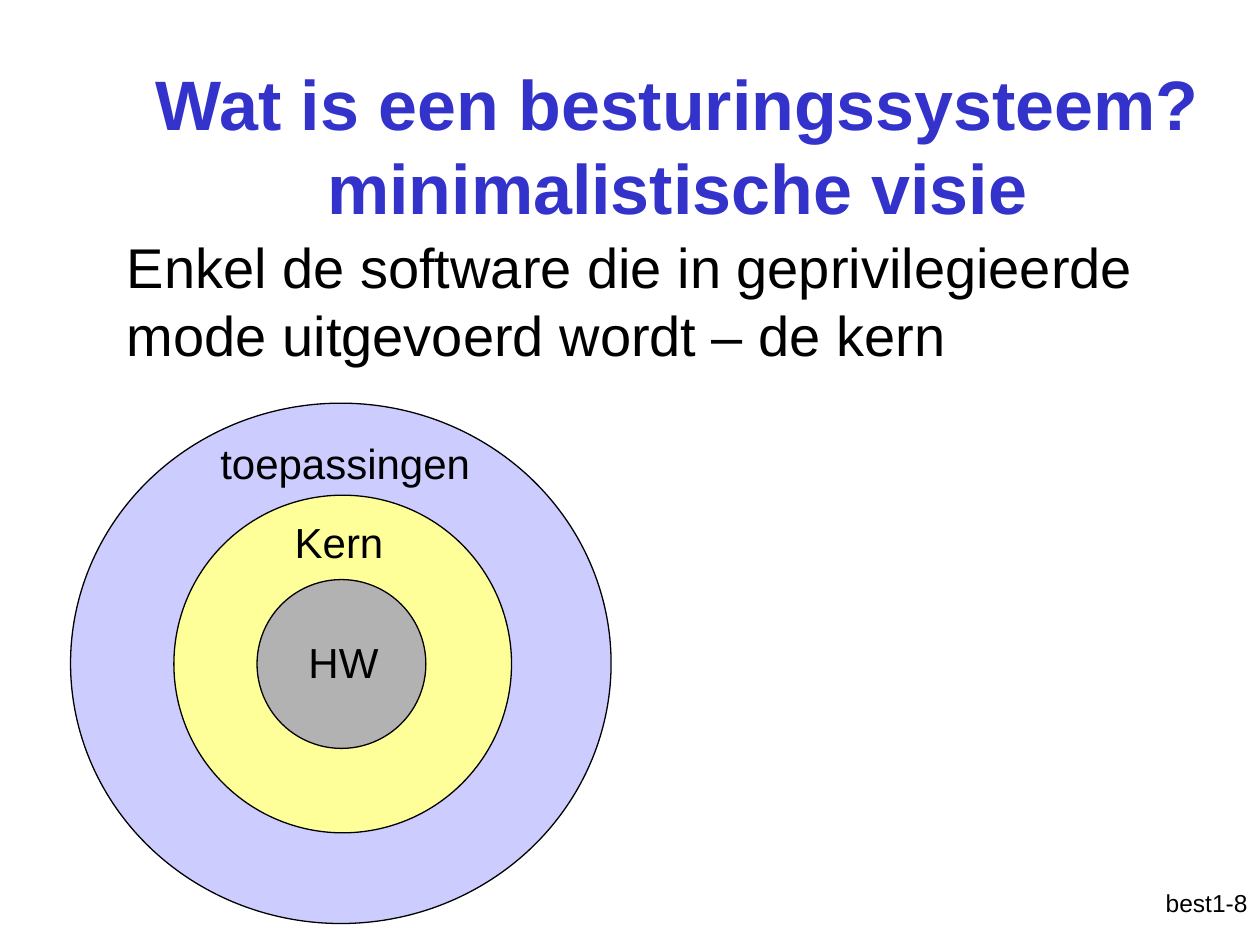
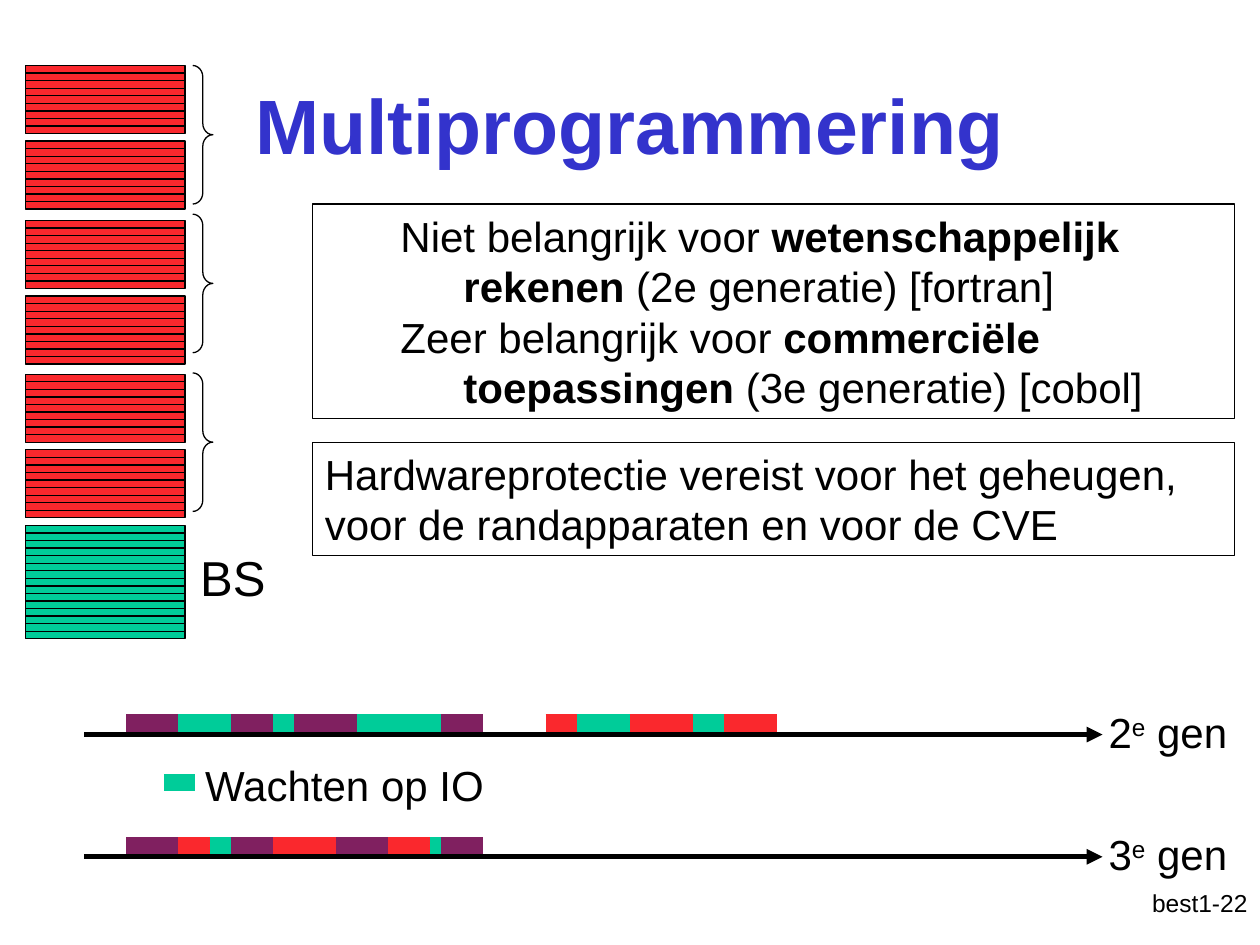
from lxml import etree
from pptx import Presentation
from pptx.dml.color import RGBColor
from pptx.enum.shapes import MSO_CONNECTOR, MSO_SHAPE
from pptx.enum.text import MSO_ANCHOR, PP_ALIGN
from pptx.oxml.ns import qn
from pptx.util import Inches, Pt

STRAIGHT = MSO_CONNECTOR.STRAIGHT
OVAL, RECTANGLE, RIGHT_BRACE = MSO_SHAPE.OVAL, MSO_SHAPE.RECTANGLE, MSO_SHAPE.RIGHT_BRACE
TOP, MIDDLE = MSO_ANCHOR.TOP, MSO_ANCHOR.MIDDLE
LEFT, CENTER, RIGHT = PP_ALIGN.LEFT, PP_ALIGN.CENTER, PP_ALIGN.RIGHT

BLACK = RGBColor(0x00, 0x00, 0x00)
WHITE = RGBColor(0xFF, 0xFF, 0xFF)
TITLE_BLUE = RGBColor(0x33, 0x33, 0xCC)
LAVENDER = RGBColor(0xCC, 0xCC, 0xFF)
YELLOW = RGBColor(0xFF, 0xFF, 0x99)
GREY = RGBColor(0xB2, 0xB2, 0xB2)
GREEN = RGBColor(0x00, 0xCC, 0x99)
RED = RGBColor(0xFA, 0x28, 0x2D)
PURPLE = RGBColor(0x80, 0x20, 0x60)

FONT = "Arial"
THIN = 0.75
STRIPE_GAP = 0.06
BLOCK_WIDTH = 1.27
TIME_UNIT = 1 / 12


def style_paragraph(paragraph, size, color=BLACK, bold=False, align=LEFT):
    paragraph.alignment = align
    font = paragraph.font
    font.name, font.size, font.bold = FONT, Pt(size), bold
    font.color.rgb = color


def add_label(slide, box, text, size=24, color=BLACK, bold=False, align=LEFT, anchor=TOP):
    frame = slide.shapes.add_textbox(*map(Inches, box)).text_frame
    frame.word_wrap = True
    frame.vertical_anchor = anchor
    paragraph = frame.paragraphs[0]
    paragraph.text = text
    style_paragraph(paragraph, size, color, bold, align)
    return paragraph


def add_outlined(slide, kind, box, fill=None):
    shape = slide.shapes.add_shape(kind, *map(Inches, box))
    shape.shadow.inherit = False
    if fill is None:
        shape.fill.background()
    else:
        shape.fill.solid()
        shape.fill.fore_color.rgb = fill
    shape.line.color.rgb = BLACK
    shape.line.width = Pt(THIN)
    return shape


def add_horizontal(slide, left, right, y, color=BLACK, width=THIN, arrow=False):
    line = slide.shapes.add_connector(
        STRAIGHT, Inches(left), Inches(y), Inches(right), Inches(y))
    line.line.color.rgb = color
    line.line.width = Pt(width)
    properties = line._element.spPr
    if arrow:
        etree.SubElement(properties.find(qn("a:ln")), qn("a:tailEnd"), type="triangle")
    etree.SubElement(properties, qn("a:effectLst"))


def add_titled_slide(deck, title, box, size, page):
    slide = deck.slides.add_slide(deck.slide_layouts[6])
    add_label(slide, (7.92, 7, 2.08, 0.5), page, 14, align=RIGHT)
    add_label(slide, box, title, size, TITLE_BLUE, True, CENTER, MIDDLE)
    return slide


def add_system_rings(slide, left, top):
    """Applications around the kernel around the hardware."""
    rings = [
        ((0, 0, 4.29, 4.13), LAVENDER, (1.09, 0.22, 2.76, 0.5), "toepassingen"),
        ((0.82, 0.73, 2.68, 2.68), YELLOW, (1.68, 0.85, 2.21, 0.5), "Kern"),
        ((1.48, 1.4, 1.34, 1.34), GREY, (1.79, 1.8, 0.94, 0.5), "HW"),
    ]
    for (x, y, *ring_size), fill, (label_x, label_y, *label_size), name in rings:
        add_outlined(slide, OVAL, (left + x, top + y, *ring_size), fill)
        add_label(slide, (left + label_x, top + label_y, *label_size), name)


def add_memory_block(slide, left, top, rows, fill):
    add_outlined(slide, RECTANGLE, (left, top, BLOCK_WIDTH, rows * STRIPE_GAP), fill)
    for row in range(1, rows):
        add_horizontal(slide, left, left + BLOCK_WIDTH, top + row * STRIPE_GAP)


def add_memory(slide, left, top):
    """Three programs of two blocks each, above the operating system."""
    for program_y, brace_y in [(0, 0), (1.23, 1.18), (2.45, 2.44)]:
        for block_y in (0, 0.6):
            add_memory_block(slide, left, top + program_y + block_y, 9, RED)
        brace = add_outlined(slide, RIGHT_BRACE, (left + 1.33, top + brace_y, 0.16, 1.1))
        brace.adjustments[0] = 0.57
    add_memory_block(slide, left, top + 3.65, 15, GREEN)
    add_label(slide, (left + 1.29, top + 3.78, 0.75, 0.57), "BS", 28)


def add_note(slide, box, paragraphs, fill=None, hanging=False):
    """Framed text; every second part of a paragraph is bold."""
    frame = add_outlined(slide, RECTANGLE, box, fill).text_frame
    frame.word_wrap = True
    frame.vertical_anchor = TOP
    for index, parts in enumerate(paragraphs):
        paragraph = frame.add_paragraph() if index else frame.paragraphs[0]
        if hanging:
            properties = paragraph._p.get_or_add_pPr()
            properties.set("marL", str(Inches(1.1)))
            properties.set("indent", str(Inches(-0.5)))
        style_paragraph(paragraph, 24)
        for position, part in enumerate(parts):
            run = paragraph.add_run()
            run.text = part
            if position % 2:
                run.font.bold = True


def add_timeline(slide, left, y, generation, jobs):
    """Time axis with jobs given as (start, [(colour, time units), ...])."""
    add_horizontal(slide, left, left + 8.08, y, width=3, arrow=True)
    for start, bursts in jobs:
        x = left + start
        for color, units in bursts:
            end = x + units * TIME_UNIT
            add_horizontal(slide, x, end, y - 0.09, color, 10)
            x = end
    label = add_label(slide, (left + 8.03, y - 0.27, 1.3, 0.5), generation)
    ordinal = label.add_run()
    ordinal.text = "e"
    ordinal.font._element.set("baseline", "30000")
    label.add_run().text = " gen"


def build_minimal_view(deck):
    slide = add_titled_slide(
        deck, "Wat is een besturingssysteem?\vminimalistische visie",
        (0.75, 0.52, 9.25, 1.25), 40, "best1-8")
    add_label(slide, (0.91, 1.8, 8.43, 1.17),
              "Enkel de software die in geprivilegieerde mode uitgevoerd wordt – de kern", 32)
    add_system_rings(slide, 0.56, 3.2)


def build_multiprogramming(deck):
    slide = add_titled_slide(
        deck, "Multiprogrammering", (0.75, 0.36, 8.5, 1.25), 44, "best1-22")
    add_horizontal(slide, 1.3, 1.55, 6.21, GREEN, 10)
    add_label(slide, (1.53, 5.98, 5.91, 0.5), "Wachten op IO")
    add_timeline(slide, 0.67, 5.83, "2", [
        (0.33, [(PURPLE, 5), (GREEN, 5), (PURPLE, 4), (GREEN, 2),
                (PURPLE, 6), (GREEN, 8), (PURPLE, 4)]),
        (3.66, [(RED, 3), (GREEN, 5), (RED, 6), (GREEN, 3), (RED, 5)]),
    ])
    add_timeline(slide, 0.67, 6.8, "3", [
        (0.33, [(PURPLE, 5), (RED, 3), (GREEN, 2), (PURPLE, 4), (RED, 6),
                (PURPLE, 5), (RED, 4), (GREEN, 1), (PURPLE, 4)]),
    ])
    add_note(slide, (2.48, 3.51, 7.32, 0.9), [
        ["Hardwareprotectie vereist voor het geheugen, "
         "voor de randapparaten en voor de CVE"],
    ])
    add_note(slide, (2.48, 1.62, 7.32, 1.7), [
        ["Niet belangrijk voor ", "wetenschappelijk rekenen", " (2e generatie) [fortran]"],
        ["Zeer belangrijk voor ", "commerciële toepassingen", " (3e generatie) [cobol]"],
    ], WHITE, hanging=True)
    add_memory(slide, 0.2, 0.52)


def main():
    deck = Presentation()
    deck.slide_width, deck.slide_height = Inches(10), Inches(7.5)
    build_minimal_view(deck)
    build_multiprogramming(deck)
    deck.save("out.pptx")


if __name__ == "__main__":
    main()
